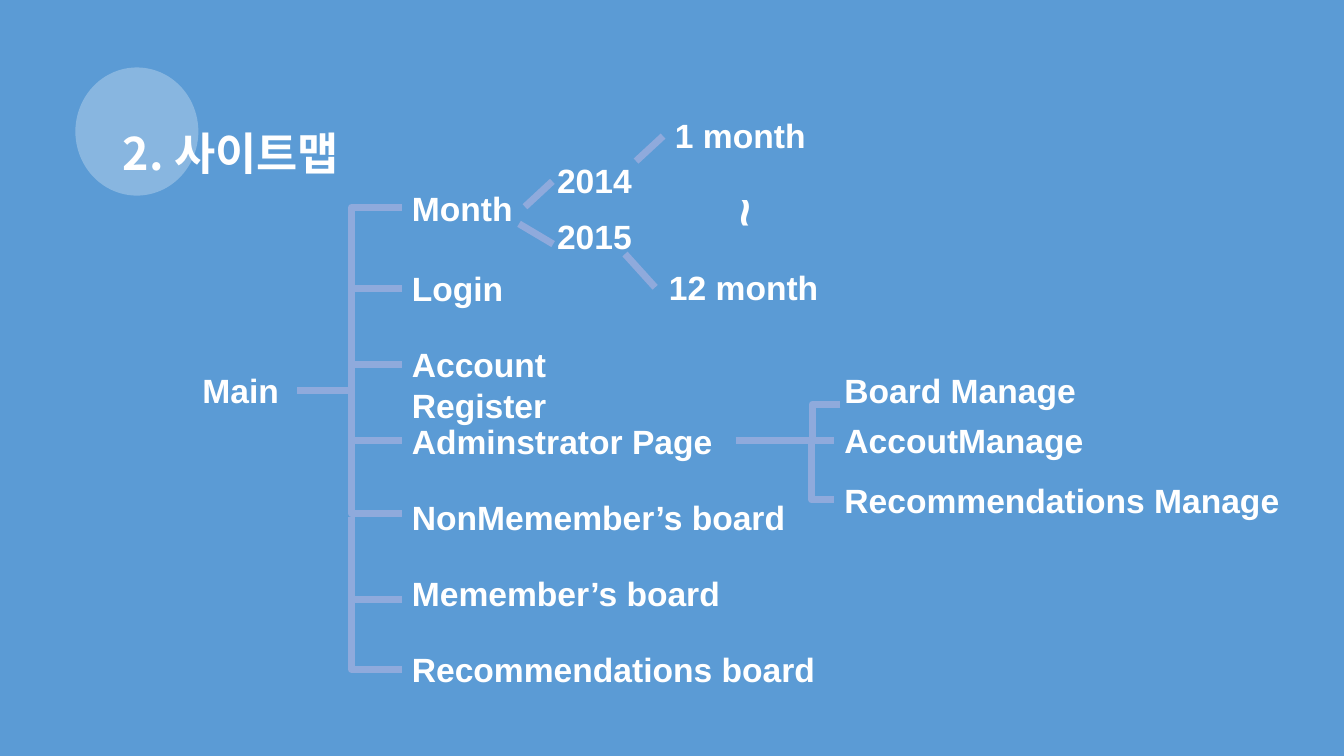
from lxml import etree
from pptx import Presentation
from pptx.dml.color import RGBColor
from pptx.enum import shapes, text
from pptx.oxml.ns import qn
from pptx.util import Cm, Pt

BLUE, WHITE, LILAC = "5B9BD5", "FFFFFF", "8FAADC"
LATIN, HANGUL = "Arial", "Noto Sans CJK KR"
TITLE = "2. 사이트맵"

# Site pages below the main page: label, width
PAGES = [
    ("Login", 3.38),
    ("Account Register", 7.49),
    ("Adminstrator Page", 8.23),
    ("NonMemember’s board", 10.36),
    ("Memember’s board", 8.51),
    ("Recommendations board", 10.95),
]
PAGE_X, PAGE_TOP, PAGE_STEP = 10.13, 6.63, 1.92

# Other labels: text, left, top, width
LABELS = [
    ("Main", 4.85, 9.19, 2.64),
    ("Month", PAGE_X, 4.6, 3.4),
    ("2014", 13.79, 3.91, 2.54),
    ("2015", 13.79, 5.31, 2.54),
    ("1 month", 16.76, 2.77, 4.22),
    ("12 month", 16.61, 6.6, 4.47),
    ("Board Manage", 21.03, 9.19, 7.01),
    ("AccoutManage", 21.03, 10.46, 7.01),
    ("Recommendations Manage", 21.03, 11.96, 11.76),
]

# Trunk branches: y on the trunk, y at the page
TRUNK_X = 8.86
TRUNK = [(9.83, 11.1), (9.88, 9.19), (11.05, 12.95), (13.03, 15.1),
         (14.99, 16.87), (9.27, 7.26), (7.44, 5.23)]

# Straight lines: x1, y1, x2, y2
LINES = [
    (7.49, 9.83, TRUNK_X, 9.83),
    (18.54, 11.1, 19.94, 11.1),
    (20.45, 11.1, 21.03, 11.1),
    (13.23, 5.21, 13.92, 4.57),
    (13.08, 5.64, 13.94, 6.15),
    (16.03, 4.06, 16.71, 3.43),
    (15.75, 6.4, 16.51, 7.24),
]

# Bent lines: ends, then the place of the turn in percent of the width
BENDS = [((TRUNK_X, y1, PAGE_X, y2), 0) for y1, y2 in TRUNK] + [
    ((19.76, 11.1, 21.18, 10.19), 50),
    ((20.45, 11.2, 21.03, 12.6), 0),
]


def color(code):
    return RGBColor.from_string(code)


def write(shape, words, size, face=LATIN, wrap=True):
    frame = shape.text_frame
    frame.text = words
    frame.word_wrap = wrap
    frame.auto_size = text.MSO_AUTO_SIZE.SHAPE_TO_FIT_TEXT
    frame.vertical_anchor = text.MSO_ANCHOR.TOP
    para = frame.paragraphs[0]
    para.alignment = text.PP_ALIGN.LEFT
    font = para.font
    font.name, font.size, font.bold = face, Pt(size), True
    font.color.rgb = color(WHITE)
    props = para._p.pPr.find(qn("a:defRPr"))
    etree.SubElement(props, qn("a:ea"), typeface=face)


def label(words, left, top, width, height=1.27, size=24, wrap=True):
    box = slide.shapes.add_textbox(Cm(left), Cm(top), Cm(width), Cm(height))
    write(box, words, size, wrap=wrap)
    return box


def link(ends, turn=None):
    """Draw a straight line, or a bent one if a turn is given."""
    kinds = shapes.MSO_CONNECTOR
    kind = kinds.STRAIGHT if turn is None else kinds.ELBOW
    line = slide.shapes.add_connector(kind, *map(Cm, ends))
    line.line.color.rgb = color(LILAC)
    line.line.width = Pt(5)
    props = line._element.spPr
    etree.SubElement(props, qn("a:effectLst"))
    if turn is not None:
        guides = props.find(qn("a:prstGeom")).find(qn("a:avLst"))
        etree.SubElement(guides, qn("a:gd"), name="adj1",
                         fmla=f"val {turn * 1000}")


deck = Presentation()
deck.slide_width, deck.slide_height = Cm(33.87), Cm(19.05)
slide = deck.slides.add_slide(deck.slide_layouts[5])
slide.background.fill.solid()
slide.background.fill.fore_color.rgb = color(BLUE)

title = slide.shapes.title
title.left, title.top = Cm(2.84), Cm(3.05)
title.width, title.height = Cm(6.43), Cm(1.63)
write(title, TITLE, 32, HANGUL, wrap=False)

disc = slide.shapes.add_shape(shapes.MSO_SHAPE.FLOWCHART_CONNECTOR,
                              Cm(1.9), Cm(1.7), Cm(3.1), Cm(3.23))
disc.shadow.inherit = False
disc.line.fill.background()
disc.fill.solid()
disc.fill.fore_color.rgb = color(WHITE)
tint = disc._element.spPr.find(qn("a:solidFill"))[0]
etree.SubElement(tint, qn("a:alpha"), val="28000")

for row, (words, width) in enumerate(PAGES):
    label(words, PAGE_X, PAGE_TOP + row * PAGE_STEP, width)
for item in LABELS:
    label(*item)
tilde = label("~", 18.14, 4.57, 1.42, 1.8, size=36, wrap=False)
tilde.rotation = 90

for ends in LINES:
    link(ends)
for ends, turn in BENDS:
    link(ends, turn)

deck.save("out.pptx")
